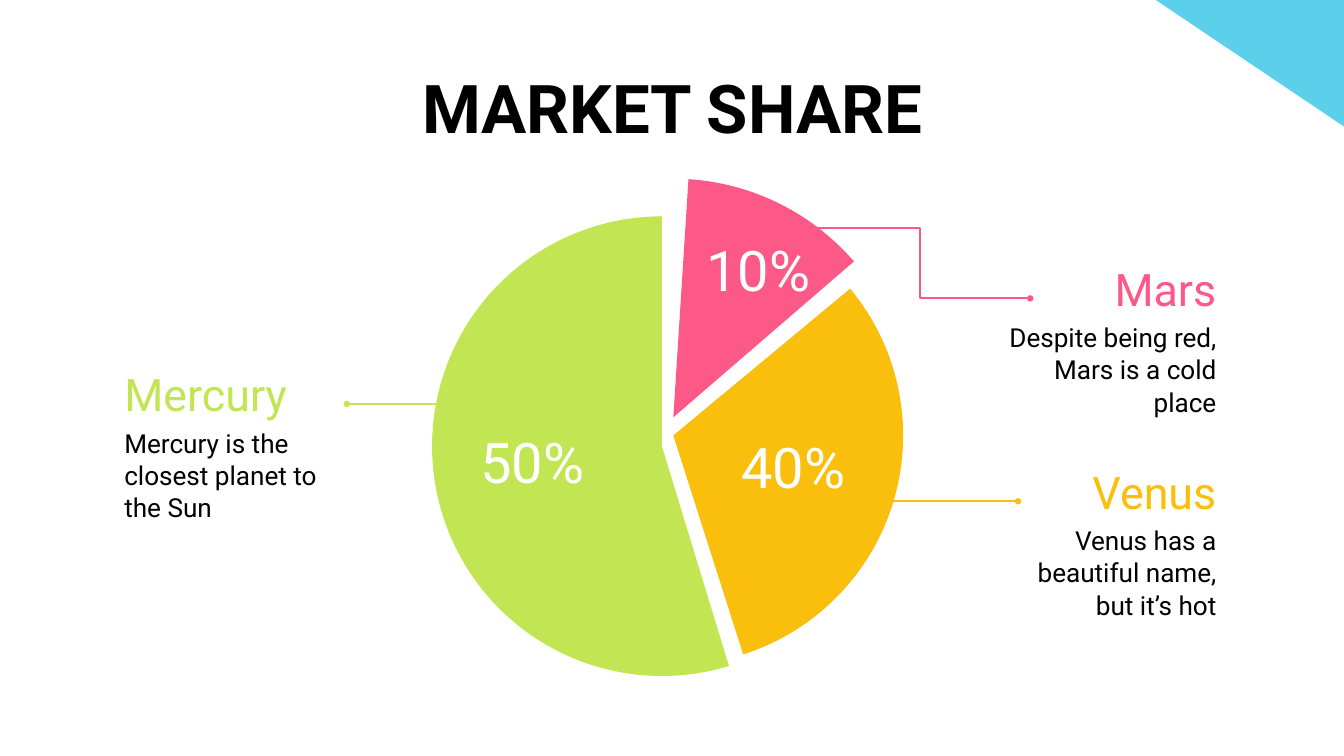
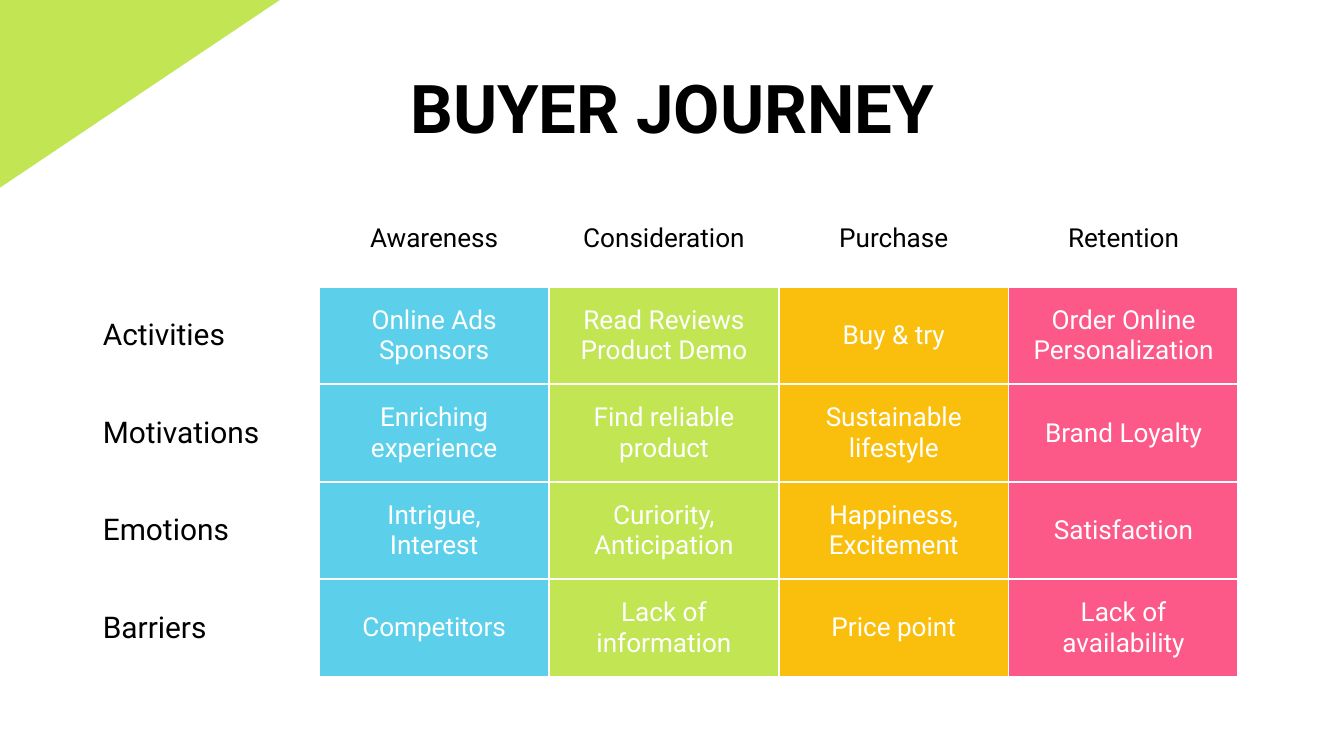
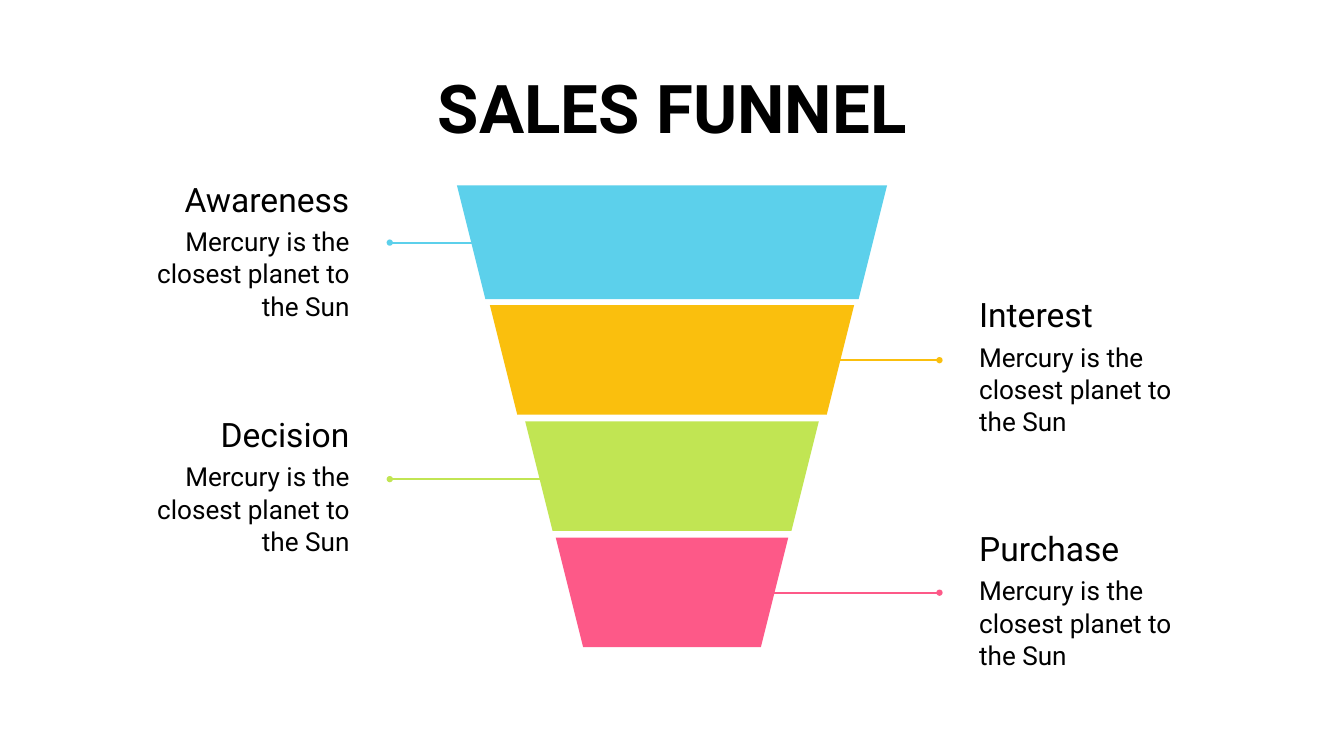
from lxml.etree import SubElement
from pptx import Presentation
from pptx.dml.color import RGBColor
from pptx.enum.shapes import MSO_CONNECTOR, MSO_SHAPE
from pptx.enum.text import MSO_ANCHOR, PP_ALIGN
from pptx.oxml.ns import qn
from pptx.util import Inches, Pt

FONT = "Roboto"
BLACK = RGBColor(0x00, 0x00, 0x00)
WHITE = RGBColor(0xFF, 0xFF, 0xFF)
BLUE = RGBColor(0x5C, 0xD0, 0xEB)
GREEN = RGBColor(0xC1, 0xE5, 0x53)
YELLOW = RGBColor(0xFA, 0xBF, 0x0D)
PINK = RGBColor(0xFD, 0x59, 0x88)

LEFT, CENTER, RIGHT = PP_ALIGN.LEFT, PP_ALIGN.CENTER, PP_ALIGN.RIGHT
INSET = Inches(0.2)
LINE_WIDTH = Pt(2.25)
NAME_HEIGHT, BODY_OFFSET, BODY_HEIGHT = 0.9, 0.58, 1.57


# Shared parts
def inches(box):
    return [Inches(length) for length in box]


def style_text(frame, text, size, color, align, bold=False):
    frame.text = text
    for para in frame.paragraphs:
        para.alignment = align
        para.font.name = FONT
        para.font.size = Pt(size)
        para.font.bold = bold
        para.font.color.rgb = color


def add_text(page, box, text, size, color=BLACK, align=CENTER,
             anchor=MSO_ANCHOR.TOP, bold=False):
    text_box = page.shapes.add_textbox(*inches(box))
    frame = text_box.text_frame
    frame.word_wrap = True
    frame.vertical_anchor = anchor
    frame.margin_left = frame.margin_right = INSET
    frame.margin_top = frame.margin_bottom = INSET
    style_text(frame, text, size, color, align, bold)
    return text_box


def add_filled(page, kind, box, color, rotation=0):
    shape = page.shapes.add_shape(kind, *inches(box))
    shape.shadow.inherit = False
    shape.fill.solid()
    shape.fill.fore_color.rgb = color
    shape.line.fill.background()
    shape.rotation = rotation
    return shape


def add_leader(page, dot, target, color, kind=MSO_CONNECTOR.STRAIGHT):
    """Draw a line that starts with a dot and ends at its target."""
    leader = page.shapes.add_connector(kind, *inches(dot + target))
    leader.line.color.rgb = color
    leader.line.width = LINE_WIDTH
    SubElement(leader.line._get_or_add_ln(), qn("a:headEnd"), type="oval")
    SubElement(leader._element.spPr, qn("a:effectLst"))
    return leader


def add_callout(page, edge, top, name_width, body_width, name, body,
                size, color, align):
    """Place a name over its body text, both flush with one outer edge."""
    def left_of(width):
        return edge - width if align == RIGHT else edge

    body_box = add_text(
        page, (left_of(body_width), top + BODY_OFFSET, body_width, BODY_HEIGHT),
        body, 28, align=align)
    para = body_box.text_frame.paragraphs[0]
    para.line_spacing = 1.03
    para.space_after = Pt(32)
    return add_text(page, (left_of(name_width), top, name_width, NAME_HEIGHT),
                    name, size, color, align, MSO_ANCHOR.BOTTOM)


def add_page(deck, title):
    page = deck.slides.add_slide(deck.slide_layouts[6])
    add_text(page, (1.44, 0.79, 17.13, 1.25), title, 72, bold=True)
    return page


# Market share
def add_slice(page, box, start, end, color):
    pie = add_filled(page, MSO_SHAPE.PIE, box, color)
    # Pie angles are stored in 60000ths of a degree, adjustments in 100000ths
    pie.adjustments[0] = start * 0.6
    pie.adjustments[1] = end * 0.6


def build_market_share(deck):
    page = add_page(deck, "MARKET SHARE")

    # Pie slices with angles in degrees
    add_slice(page, (6.43, 3.22, 6.84, 6.84), 73.03, 270, GREEN)
    add_slice(page, (6.47, 2.66, 7.1, 7.1), 273.64, 319.22, PINK)
    add_slice(page, (6.6, 3.06, 6.84, 6.84), 320.31, 72.3, YELLOW)
    for box, share, anchor in (
            ((6.27, 6.41, 3.3, 0.9), "50%", MSO_ANCHOR.MIDDLE),
            ((9.94, 3.8, 2.68, 0.9), "10%", MSO_ANCHOR.BOTTOM),
            ((10.51, 6.74, 2.59, 0.9), "40%", MSO_ANCHOR.BOTTOM)):
        add_text(page, box, share, 60, WHITE, anchor=anchor)

    # Planet callouts, each joined to its slice
    straight, elbow = MSO_CONNECTOR.STRAIGHT, MSO_CONNECTOR.ELBOW
    for edge, top, name_width, body_width, name, body, color, align, target, kind in (
            (1.65, 5.56, 3.51, 3.51, "Mercury",
             "Mercury is the closest planet to the Sun",
             GREEN, LEFT, (6.94, 6.01), straight),
            (18.3, 3.99, 2.97, 3.51, "Mars",
             "Despite being red, Mars is a cold place",
             PINK, RIGHT, (12.04, 3.39), elbow),
            (18.3, 7.01, 3.15, 3.15, "Venus",
             "Venus has a beautiful name, but it’s hot",
             YELLOW, RIGHT, (12.63, 7.46), straight)):
        name_box = add_callout(page, edge, top, name_width, body_width,
                               name, body, 48, color, align)
        inner_edge = edge + name_width if align == LEFT else edge - name_width
        dot = (inner_edge, top + NAME_HEIGHT / 2)
        leader = add_leader(page, dot, target, color, kind)
        leader.begin_connect(name_box, 3 if align == LEFT else 1)

    # Corner
    add_filled(page, MSO_SHAPE.RIGHT_TRIANGLE, (16.5, -0.47, 4.91, 3.3), BLUE, 180)


# Buyer journey
JOURNEY = (
    ("", "Awareness", "Consideration", "Purchase", "Retention"),
    ("Activities", "Online Ads\nSponsors", "Read Reviews\nProduct Demo",
     "Buy & try", "Order Online\nPersonalization"),
    ("Motivations", "Enriching experience", "Find reliable product",
     "Sustainable lifestyle", "Brand Loyalty"),
    ("Emotions", "Intrigue,\nInterest", "Curiority,\nAnticipation",
     "Happiness,\nExcitement", "Satisfaction"),
    ("Barriers", "Competitors", "Lack of information", "Price point",
     "Lack of availability"),
)
STAGE_COLORS = (BLUE, GREEN, YELLOW, PINK)


def add_borders(cell):
    properties = cell._tc.get_or_add_tcPr()
    for side in ("a:lnL", "a:lnR", "a:lnT", "a:lnB"):
        border = SubElement(properties, qn(side), w=str(LINE_WIDTH))
        fill = SubElement(border, qn("a:solidFill"))
        SubElement(fill, qn("a:srgbClr"), val=str(WHITE))


def add_journey_table(page, left, top, column_width, row_height):
    rows, columns = len(JOURNEY), len(JOURNEY[0])
    box = (left, top, column_width * columns, row_height * rows)
    table = page.shapes.add_table(rows, columns, *inches(box)).table
    table.first_row = table.horz_banding = False
    for column in table.columns:
        column.width = Inches(column_width)
    for r, texts in enumerate(JOURNEY):
        table.rows[r].height = Inches(row_height)
        for c, text in enumerate(texts):
            cell = table.cell(r, c)
            cell.vertical_anchor = MSO_ANCHOR.MIDDLE
            cell.margin_left = cell.margin_right = INSET
            cell.margin_top = cell.margin_bottom = INSET
            add_borders(cell)
            inner = r > 0 and c > 0
            if inner:
                cell.fill.solid()
                cell.fill.fore_color.rgb = STAGE_COLORS[c - 1]
            else:
                cell.fill.background()
            style_text(cell.text_frame, text, 28 if c else 32,
                       WHITE if inner else BLACK, CENTER if c else LEFT)


def build_buyer_journey(deck):
    page = add_page(deck, "BUYER JOURNEY")
    add_journey_table(page, 1.33, 2.82, 3.42, 1.45)
    corner = add_filled(page, MSO_SHAPE.RIGHT_TRIANGLE,
                        (-0.83, -0.52, 5.77, 3.87), GREEN)
    corner._element.spPr.xfrm.set("flipV", "1")


# Sales funnel
def build_sales_funnel(deck):
    page = add_page(deck, "SALES FUNNEL")
    middle = 10
    for name, color, align, name_top, line_y, top, width, height in (
            ("Awareness", BLUE, RIGHT, 2.56, 3.61, 2.76, 6.4, 1.69),
            ("Interest", YELLOW, LEFT, 4.28, 5.36, 4.54, 5.42, 1.63),
            ("Decision", GREEN, RIGHT, 6.06, 7.13, 6.27, 4.37, 1.63),
            ("Purchase", PINK, LEFT, 7.76, 8.82, 8, 3.46, 1.63)):
        edge, dot_x, target_x = ((5.4, 5.8, 8.63) if align == RIGHT
                                 else (14.37, 13.98, 11.15))
        add_callout(page, edge, name_top, 4.93, 3.41, name,
                    "Mercury is the closest planet to the Sun", 36, BLACK, align)
        add_leader(page, (dot_x, line_y), (target_x, line_y), color)
        add_filled(page, MSO_SHAPE.TRAPEZOID,
                   (middle - width / 2, top, width, height), color, 180)


def main():
    deck = Presentation()
    deck.slide_width, deck.slide_height = Inches(20), Inches(11.25)
    build_market_share(deck)
    build_buyer_journey(deck)
    build_sales_funnel(deck)
    deck.save("out.pptx")


if __name__ == "__main__":
    main()
